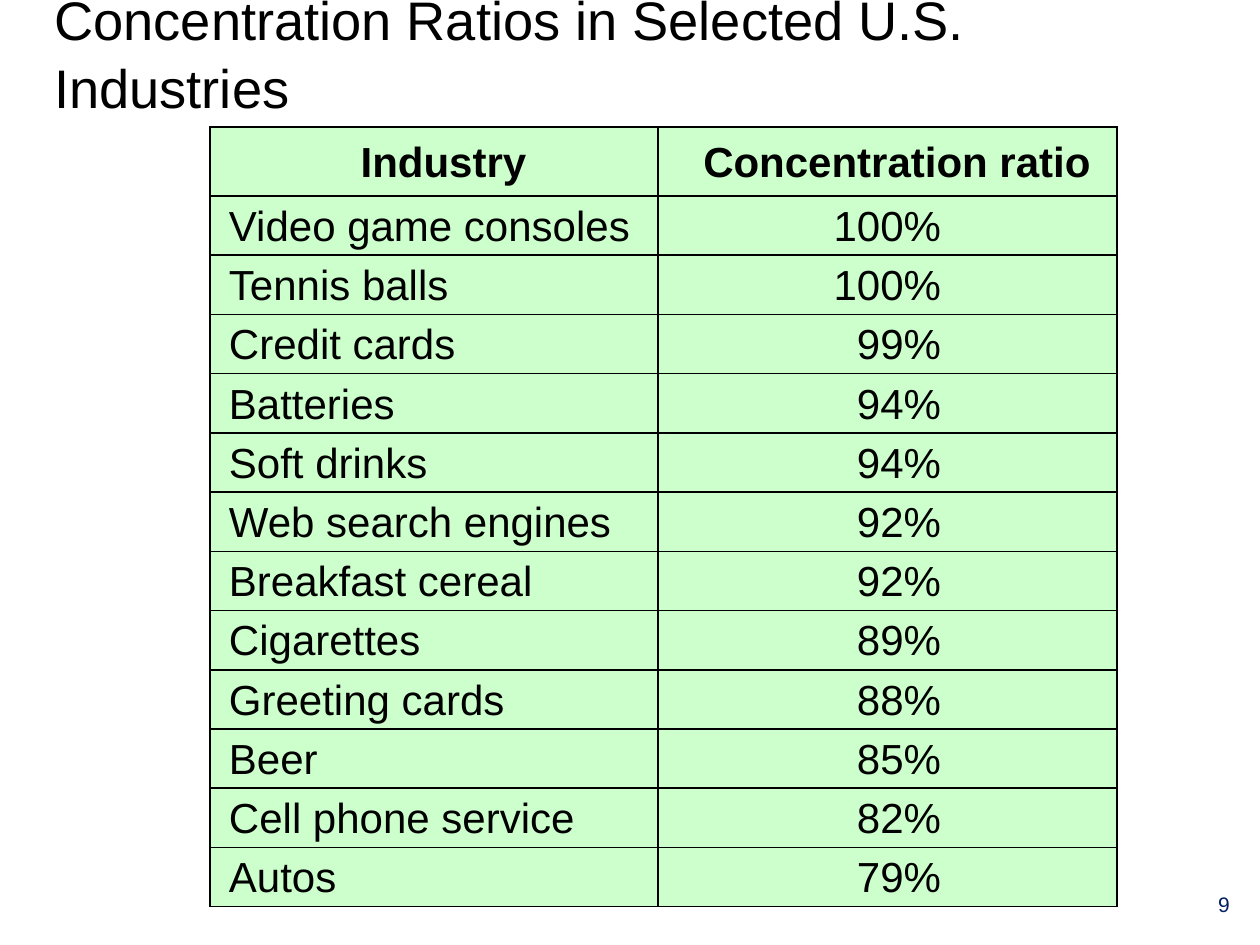
from dataclasses import dataclass

from lxml import etree
from pptx import Presentation
from pptx.dml.color import RGBColor
from pptx.enum.text import MSO_ANCHOR, PP_ALIGN
from pptx.oxml.ns import qn
from pptx.util import Emu, Pt

LEFT, CENTER, RIGHT = PP_ALIGN.LEFT, PP_ALIGN.CENTER, PP_ALIGN.RIGHT
TOP, MIDDLE = MSO_ANCHOR.TOP, MSO_ANCHOR.MIDDLE
SCALE = 914400 / 126


@dataclass(frozen=True)
class Theme:
    """Hold the colours, font and type sizes."""
    font: str = "Arial"
    ink: str = "000000"
    navy: str = "002060"
    mint: str = "CCFFCC"
    title: int = 31
    body: int = 24
    small: int = 12


THEME = Theme()
HEADS = ("Industry", "Concentration ratio")
RATIOS = (
    ("Video game consoles", 100),
    ("Tennis balls", 100),
    ("Credit cards", 99),
    ("Batteries", 94),
    ("Soft drinks", 94),
    ("Web search engines", 92),
    ("Breakfast cereal", 92),
    ("Cigarettes", 89),
    ("Greeting cards", 88),
    ("Beer", 85),
    ("Cell phone service", 82),
    ("Autos", 79),
)


def px(count):
    """Turn pixels into EMU."""
    return Emu(round(count * SCALE))


def apply(target, values):
    """Set each named value on the target."""
    for name, value in values.items():
        setattr(target, name, value)


def write(frame, text, size, color, align, bold=False, spacing=1.05):
    """Write one styled paragraph into a text frame."""
    para = frame.paragraphs[0]
    apply(para, {"alignment": align, "line_spacing": spacing})
    run = para.add_run()
    run.text = text
    apply(run.font, {"name": THEME.font, "size": Pt(size), "bold": bold})
    run.font.color.rgb = RGBColor.from_string(color)


def add_text(slide, box, text, size, color, align, anchor, spacing):
    """Add a wrapped text box."""
    frame = slide.shapes.add_textbox(*map(px, box)).text_frame
    apply(frame, {"word_wrap": True, "vertical_anchor": anchor})
    write(frame, text, size, color, align, spacing=spacing)


def add_edges(cell):
    """Draw a thin line on all four sides of a cell."""
    props = cell._tc.get_or_add_tcPr()
    for index, side in enumerate(("lnL", "lnR", "lnT", "lnB")):
        line = etree.Element(qn(f"a:{side}"), w=str(Pt(1)))
        fill = etree.SubElement(line, qn("a:solidFill"))
        etree.SubElement(fill, qn("a:srgbClr"), val=THEME.ink)
        props.insert(index, line)


def fill_cell(cell, text, align, bold=False, right=0):
    """Fill, frame and write one table cell."""
    apply(cell, {
        "margin_left": px(19),
        "margin_top": 0,
        "margin_right": px(right),
        "margin_bottom": 0,
        "vertical_anchor": MIDDLE,
    })
    cell.fill.solid()
    cell.fill.fore_color.rgb = RGBColor.from_string(THEME.mint)
    add_edges(cell)
    write(cell.text_frame, text, THEME.body, THEME.ink, align, bold)


def add_ratios(slide):
    """Add the table of industries and their ratios."""
    widths, head, body = (448, 459), 69, 711
    box = (210, 127, sum(widths), head + body)
    table = slide.shapes.add_table(
        len(RATIOS) + 1, len(HEADS), *map(px, box)).table
    apply(table, {"first_row": False, "horz_banding": False})
    for column, width in zip(table.columns, widths):
        column.width = px(width)
    for row in table.rows:
        row.height = px(body / len(RATIOS))
    table.rows[0].height = px(head)
    for index, text in enumerate(HEADS):
        fill_cell(table.cell(0, index), text, CENTER, bold=True)
    for index, (name, ratio) in enumerate(RATIOS, 1):
        fill_cell(table.cell(index, 0), name, LEFT)
        fill_cell(table.cell(index, 1), f"{ratio}%", RIGHT, right=176)


def main():
    """Build the slide and save it."""
    deck = Presentation()
    apply(deck, {"slide_width": px(1260), "slide_height": px(945)})
    slide = deck.slides.add_slide(deck.slide_layouts[6])
    add_text(slide, (42, -10, 1077, 122),
             "Concentration Ratios in Selected U.S. Industries",
             THEME.title, THEME.ink, LEFT, MIDDLE, 1.05)
    add_ratios(slide)
    add_text(slide, (1188, 885, 72, 52), "9",
             THEME.small, THEME.navy, CENTER, TOP, 1.0)
    deck.save("out.pptx")


if __name__ == "__main__":
    main()
